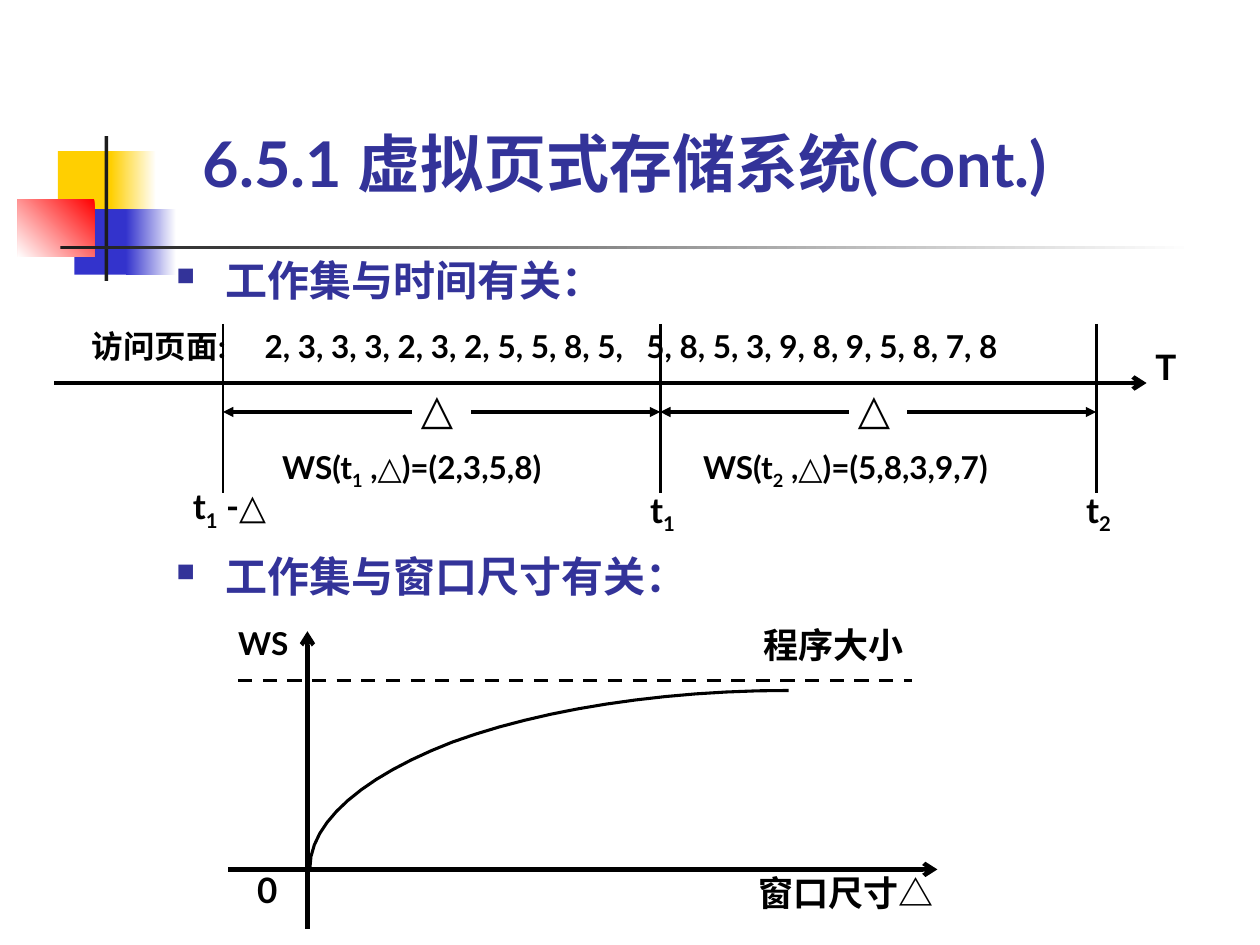
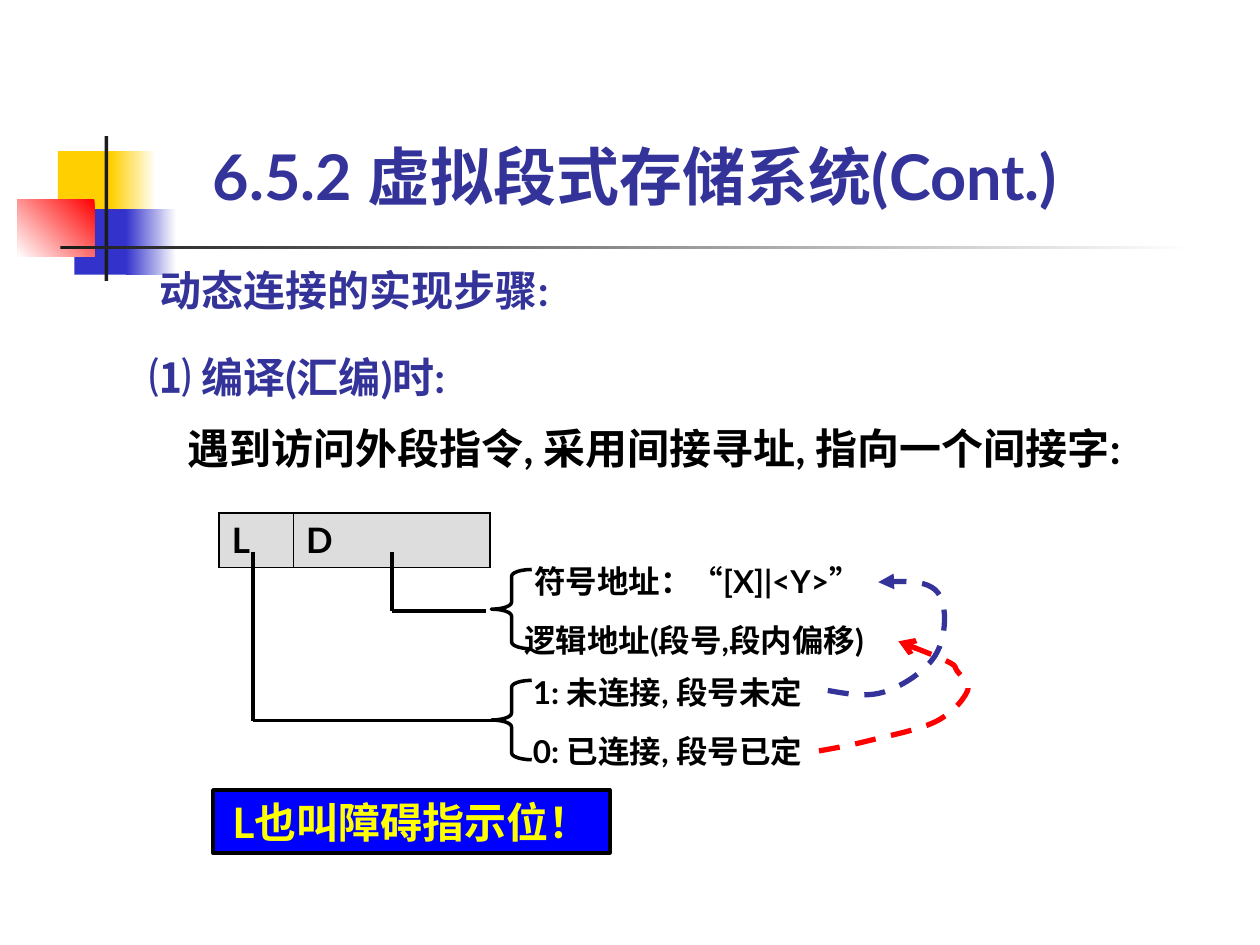
from itertools import pairwise

from lxml import etree
from pptx import Presentation
from pptx.dml.color import RGBColor
from pptx.enum.dml import MSO_LINE_DASH_STYLE as Dash
from pptx.enum.shapes import MSO_CONNECTOR as Connector
from pptx.enum.shapes import MSO_SHAPE as Shape
from pptx.enum.text import MSO_ANCHOR as Anchor
from pptx.enum.text import MSO_AUTO_SIZE as AutoSize
from pptx.enum.text import PP_ALIGN as Align
from pptx.oxml.ns import qn
from pptx.util import Pt

PX = 9144
FONT = "Lato"
COLORS = {
    "ink": "000000",
    "heading": "333399",
    "white": "FFFFFF",
    "gold": "FFCF01",
    "blue": "3333CC",
    "red": "FF0000",
    "bar": "1C1C1C",
    "cell": "DDDDDD",
    "banner": "0000FF",
    "yellow": "FFFF00",
}


def rgb(name):
    return RGBColor.from_string(COLORS[name])


def emu(*lengths):
    return [round(length * PX) for length in lengths]


def add_xml(parent, tag, **attributes):
    return etree.SubElement(parent, qn(tag), attributes)


def write(para, text, size=18, color="ink", align=None, spacing=None,
          indent=0, bullet=None, tabs=()):
    para.alignment = align
    para.line_spacing = spacing
    props = para._p.get_or_add_pPr()
    if indent:
        props.set("marL", str(indent * PX))
        props.set("indent", str(-indent * PX if bullet else 0))
    if bullet:
        add_xml(add_xml(props, "a:buClr"), "a:srgbClr", val=COLORS[color])
        add_xml(props, "a:buSzPct", val="60000")
        add_xml(props, "a:buChar", char=bullet)
    if tabs:
        stops = add_xml(props, "a:tabLst")
        for stop in tabs:
            add_xml(stops, "a:tab", pos=str(stop * PX), algn="l")
    for index, piece in enumerate(text.split("_")):
        if not piece:
            continue
        span = para.add_run()
        span.text = piece
        span.font.name = FONT
        span.font.size = Pt(size)
        span.font.bold = True
        span.font.color.rgb = rgb(color)
        if index % 2:
            span._r.get_or_add_rPr().set("baseline", "-25000")


def bezier(start, control_a, control_b, end, steps=12):
    for step in range(1, steps + 1):
        t = step / steps
        u = 1 - t
        yield tuple(
            u**3 * a + 3 * u * u * t * b + 3 * u * t * t * c + t**3 * d
            for a, b, c, d in zip(start, control_a, control_b, end)
        )


class Painter:
    def __init__(self):
        self.deck = Presentation()
        self.deck.slide_width, self.deck.slide_height = emu(1000, 750)
        self.page = None

    def start_page(self, title, left, top):
        self.page = self.deck.slides.add_slide(self.deck.slide_layouts[6])
        self.rect(46, 120, 48, 52, "gold")
        self.rect(88, 120, 36, 52, ("gold", "white"))
        self.rect(59, 166, 46, 52, "blue")
        self.rect(100, 166, 40, 52, ("blue", "white"))
        self.rect(14, 158, 61, 46, ("red", "white"), angle=225)
        self.rect(83, 108, 3, 115, "bar")
        self.rect(48, 195, 900, 3, ("bar", "white"))
        self.text(left, top, 724, 120, title, anchor=Anchor.BOTTOM,
                  size=36, color="heading")

    def rect(self, left, top, width, height, fill, angle=0):
        box = self.page.shapes.add_shape(
            Shape.RECTANGLE, *emu(left, top, width, height))
        box.shadow.inherit = False
        box.line.fill.background()
        if isinstance(fill, tuple):
            box.fill.gradient()
            box.fill.gradient_angle = angle
            for stop, name in zip(box.fill.gradient_stops, fill):
                stop.color.rgb = rgb(name)
        else:
            box.fill.solid()
            box.fill.fore_color.rgb = rgb(fill)
        return box

    def banner(self, left, top, width, height, text):
        box = self.rect(left, top, width, height, "banner")
        self.stroke(box, "ink", 2)
        box.text_frame.word_wrap = True
        write(box.text_frame.paragraphs[0], text, size=24, color="yellow",
              align=Align.CENTER)

    def text(self, left, top, width, height, text, anchor=Anchor.TOP, **style):
        box = self.page.shapes.add_textbox(*emu(left, top, width, height))
        frame = box.text_frame
        frame.word_wrap = True
        frame.auto_size = AutoSize.SHAPE_TO_FIT_TEXT
        frame.vertical_anchor = anchor
        frame.margin_left = frame.margin_right = 0
        frame.margin_top = frame.margin_bottom = 0
        write(frame.paragraphs[0], text, **style)
        return frame

    def label(self, left, top, width, height, text, **style):
        self.text(left, top, width, height, text, spacing=0.8, **style)

    def bullet(self, top, text):
        self.label(140, top, 450, 32, text, size=24, color="heading",
                   indent=39, bullet="■")

    def stroke(self, shape, color, weight, dashed=False, head=None, tail=None):
        shape.line.color.rgb = rgb(color)
        shape.line.width = Pt(weight)
        if dashed:
            shape.line.dash_style = Dash.DASH
        outline = shape.line._get_or_add_ln()
        for tag, kind in (("a:headEnd", head), ("a:tailEnd", tail)):
            if kind:
                add_xml(outline, tag, type=kind)

    def line(self, x1, y1, x2, y2, weight=2, **style):
        line = self.page.shapes.add_connector(
            Connector.STRAIGHT, *emu(x1, y1, x2, y2))
        self.stroke(line, "ink", weight, **style)
        add_xml(line._element.spPr, "a:effectLst")

    def curve(self, start, segments, color, weight, **style):
        builder = self.page.shapes.build_freeform(*emu(*start))
        for segment in segments:
            builder.add_line_segments(
                [emu(*point) for point in bezier(start, *segment)], close=False)
            start = segment[-1]
        shape = builder.convert_to_shape()
        shape.shadow.inherit = False
        shape.fill.background()
        self.stroke(shape, color, weight, **style)

    def brace(self, left, top, width, height):
        shape = self.page.shapes.add_shape(
            Shape.LEFT_BRACE, *emu(left, top, width, height))
        shape.shadow.inherit = False
        shape.fill.background()
        shape.adjustments[0] = 0.17
        self.stroke(shape, "ink", 2)

    def word_table(self, left, top, widths, height, texts):
        table = self.page.shapes.add_table(
            1, len(texts), *emu(left, top, sum(widths), height)).table
        table.first_row = table.horz_banding = False
        table.rows[0].height = height * PX
        last = len(texts) - 1
        for index, (width, text) in enumerate(zip(widths, texts)):
            table.columns[index].width = width * PX
            cell = table.cell(0, index)
            cell.vertical_anchor = Anchor.MIDDLE
            write(cell.text_frame.paragraphs[0], text, size=20)
            props = cell._tc.get_or_add_tcPr()
            outer, inner = 13716, 5715
            edges = {"L": inner if index else outer,
                     "R": inner if index < last else outer,
                     "T": outer, "B": outer}
            for side, weight in edges.items():
                edge = add_xml(props, f"a:ln{side}", w=str(weight))
                add_xml(add_xml(edge, "a:solidFill"), "a:srgbClr",
                        val=COLORS["ink"])
            cell.fill.solid()
            cell.fill.fore_color.rgb = rgb("cell")


def draw_working_set(painter):
    painter.start_page("6.5.1 虚拟页式存储系统(Cont.)", 161, 39)

    painter.bullet(210, "工作集与时间有关：")
    painter.label(
        73, 265, 780, 24,
        "访问页面:\t2, 3, 3, 3, 2, 3, 2, 5, 5, 8, 5,\t5, 8, 5, 3, 9, 8, 9, 5, 8, 7, 8",
        tabs=(137, 440))
    painter.line(43, 304, 910, 304, 2.5, tail="arrow")
    painter.label(917, 281, 20, 27, "T", size=20)
    ticks = (177, 524, 870)
    for tick in ticks:
        painter.line(tick, 257, tick, 391, 1.5)
    for start, end in pairwise(ticks):
        painter.line(start, 327, start + 150, 327, 1.75, head="triangle")
        painter.line(end - 150, 327, end, 327, 1.75, tail="triangle")
        painter.label(start + 157, 311, 40, 32, "△", size=24)
    painter.label(153, 388, 71, 30, "t_1_ -△", size=20)
    painter.label(516, 391, 31, 30, "t_1_", size=20)
    painter.label(862, 391, 31, 30, "t_2_", size=20)
    painter.label(224, 359, 260, 27, "WS(t_1_ ,△)=(2,3,5,8)")
    painter.label(558, 359, 296, 27, "WS(t_2_ ,△)=(5,8,3,9,7)")

    painter.bullet(445, "工作集与窗口尺寸有关：")
    painter.line(181, 690, 744, 690, 2.5, tail="arrow")
    painter.line(244, 737, 244, 501, 2.5, tail="arrow")
    painter.line(189, 540, 724, 540, dashed=True)
    painter.curve((626, 548), [
        ((526, 548), (430, 563), (359, 589)),
        ((289, 616), (246, 652), (246, 689)),
    ], "ink", 1.75)
    painter.label(189, 501, 48, 24, "WS")
    painter.label(606, 501, 120, 27, "程序大小", size=20)
    painter.label(602, 698, 150, 27, "窗口尺寸△", size=20)
    painter.label(204, 696, 28, 27, "0", size=20)


def draw_dynamic_linking(painter):
    painter.start_page("6.5.2 虚拟段式存储系统(Cont.)", 169, 49)

    painter.text(127, 210, 340, 40, "动态连接的实现步骤:", size=24,
                 color="heading")
    steps = painter.text(119, 263, 850, 112, "⑴ 编译(汇编)时:", size=24,
                         color="heading", spacing=1.4)
    write(steps.add_paragraph(),
          "遇到访问外段指令, 采用间接寻址, 指向一个间接字:",
          size=24, spacing=1.4, indent=30)

    painter.word_table(174, 407, (59, 156), 39, ("L", "D"))
    for top in (452, 540):
        painter.brace(390, top, 32, 63)
    for x, y, end in ((311, 485, 386), (201, 572, 390)):
        painter.line(x, 438, x, y)
        painter.line(x, y, end, y)
    for left, top, text in (
        (424, 446, "符号地址：“[X]|<Y>”"),
        (416, 493, "逻辑地址(段号,段内偏移)"),
        (423, 534, "1: 未连接, 段号未定"),
        (423, 581, "0: 已连接, 段号已定"),
    ):
        painter.text(left, top, 330, 30, text)

    painter.curve((657, 548), [
        ((674, 551), (690, 554), (705, 548)),
        ((719, 543), (738, 530), (744, 517)),
        ((751, 504), (752, 479), (744, 470)),
        ((736, 460), (717, 461), (697, 462)),
    ], "heading", 3, dashed=True, tail="triangle")
    painter.curve((650, 596), [
        ((661, 594), (673, 592), (689, 588)),
        ((705, 584), (731, 579), (744, 572)),
        ((757, 565), (765, 555), (768, 548)),
        ((770, 542), (763, 537), (760, 533)),
        ((757, 529), (760, 529), (752, 525)),
        ((744, 521), (728, 515), (713, 509)),
    ], "red", 3, dashed=True, tail="arrow")

    painter.banner(169, 627, 315, 50, "L也叫障碍指示位！")


def main():
    painter = Painter()
    draw_working_set(painter)
    draw_dynamic_linking(painter)
    painter.deck.save("out.pptx")


if __name__ == "__main__":
    main()
